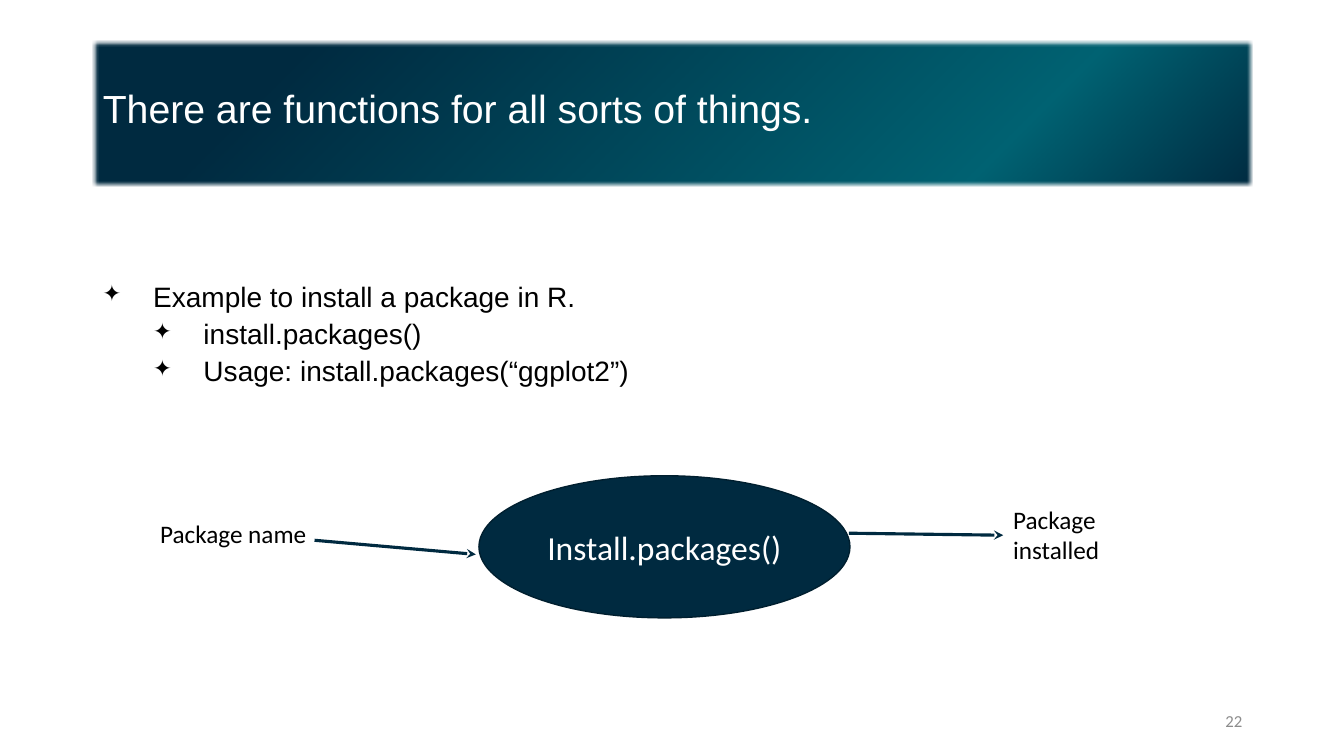
from dataclasses import dataclass

from lxml import etree
from pptx import Presentation, util as u
from pptx.dml.color import RGBColor
from pptx.enum import shapes, text
from pptx.oxml import parse_xml
from pptx.oxml.ns import nsdecls, qn

COLORS = {"navy": "002A40", "teal": "006272", "outline": "001F2F",
          "white": "FFFFFF", "black": "000000", "gray": "8C8C8C"}
GRADIENT = [(0, "navy"), (22, "teal"), (83, "navy"), (100, "navy")]
BULLETS = [(0, "Example to install a package in R."),
           (1, "install.packages()"),
           (1, "Usage: install.packages(“ggplot2”)")]


@dataclass
class Label:
    text: str
    box: tuple[float, float, float, float]
    size: int = 18
    color: str = "black"
    align: text.PP_ALIGN = text.PP_ALIGN.LEFT
    anchor: text.MSO_ANCHOR = text.MSO_ANCHOR.TOP
    wrap: bool = True


@dataclass
class Arrow:
    start: tuple[float, float]
    end: tuple[float, float]


LABELS = [
    Label("Package name", (1.49, 5.09, 1.66, 0.4), wrap=False),
    Label("Package installed", (9.95, 4.95, 1.71, 0.71)),
    Label("22", (9.42, 6.95, 3, 0.4), 12, "gray",
          text.PP_ALIGN.RIGHT, text.MSO_ANCHOR.MIDDLE),
]
ARROWS = [Arrow((3.12, 5.36), (4.72, 5.5)), Arrow((8.42, 5.29), (9.95, 5.31))]


def rgb(name: str) -> RGBColor:
    return RGBColor.from_string(COLORS[name])


def inches(values: tuple) -> list:
    return [u.Inches(v) for v in values]


def write(p, content: str, *, size: int, color: str = "black", font: str = "Calibri",
          align=text.PP_ALIGN.LEFT, spacing: float = 1.0, before: int = 0) -> None:
    p.alignment, p.line_spacing, p.space_before = align, spacing, u.Pt(before)
    r = p.add_run()
    r.text = content
    r.font.name, r.font.size = font, u.Pt(size)
    r.font.color.rgb = rgb(color)


def set_frame(tf, anchor, margins: tuple = (0.1, 0.05, 0.1, 0.05), wrap: bool = True) -> None:
    tf.auto_size = text.MSO_AUTO_SIZE.NONE
    tf.word_wrap, tf.vertical_anchor = wrap, anchor
    tf.margin_left, tf.margin_top, tf.margin_right, tf.margin_bottom = inches(margins)


def add_title(s) -> None:
    sp = s.shapes.title
    sp.left, sp.top, sp.width, sp.height = inches((0.92, 0.4, 11.5, 1.45))
    stops = "".join(f'<a:gs pos="{pos * 1000}"><a:srgbClr val="{COLORS[c]}"/></a:gs>'
                    for pos, c in GRADIENT)
    props = sp.element.spPr
    props.append(parse_xml(
        f'<a:gradFill {nsdecls("a")} rotWithShape="1"><a:gsLst>{stops}</a:gsLst>'
        '<a:path path="circle"><a:fillToRect l="100000" t="100000"/></a:path></a:gradFill>'))
    props.append(parse_xml(
        f'<a:effectLst {nsdecls("a")}><a:softEdge rad="31750"/></a:effectLst>'))
    set_frame(sp.text_frame, text.MSO_ANCHOR.MIDDLE, (0.1, 0, 0.1, 0.05))
    write(sp.text_frame.paragraphs[0], "There are functions for all sorts of things.",
          size=28, color="white", font="Arial", spacing=0.9)


def add_bullets(s) -> None:
    tf = s.shapes.add_textbox(*inches((0.92, 2.61, 11.76, 2.13))).text_frame
    set_frame(tf, text.MSO_ANCHOR.TOP, (0.1, 0.2, 0, 0.05))
    for i, (level, content) in enumerate(BULLETS):
        p = tf.add_paragraph() if i else tf.paragraphs[0]
        p.level = level
        write(p, content, size=20, font="Arial", spacing=0.9, before=5 if i else 0)
        props = p._p.get_or_add_pPr()
        props.set("marL", str(u.Inches(0.5 * (level + 1))))
        props.set("indent", str(u.Inches(-0.5)))
        etree.SubElement(props, qn("a:buSzPct"), val="80000")
        etree.SubElement(props, qn("a:buChar"), char="✦")


def add_function(s) -> None:
    sp = s.shapes.add_shape(shapes.MSO_SHAPE.OVAL, *inches((4.75, 4.72, 3.68, 1.41)))
    sp.shadow.inherit = False
    sp.fill.solid()
    sp.fill.fore_color.rgb = rgb("navy")
    sp.line.color.rgb, sp.line.width = rgb("outline"), u.Pt(1)
    set_frame(sp.text_frame, text.MSO_ANCHOR.MIDDLE)
    write(sp.text_frame.paragraphs[0], "Install.packages()", size=24, color="white",
          align=text.PP_ALIGN.CENTER)


def add_label(s, label: Label) -> None:
    tf = s.shapes.add_textbox(*inches(label.box)).text_frame
    set_frame(tf, label.anchor, wrap=label.wrap)
    write(tf.paragraphs[0], label.text, size=label.size, color=label.color, align=label.align)


def add_arrow(s, arrow: Arrow) -> None:
    line = s.shapes.add_connector(shapes.MSO_CONNECTOR.STRAIGHT,
                                  *inches(arrow.start + arrow.end))
    line.line.color.rgb, line.line.width = rgb("navy"), u.Pt(2.25)
    etree.SubElement(line.line._get_or_add_ln(), qn("a:tailEnd"), type="stealth")
    etree.SubElement(line.element.spPr, qn("a:effectLst"))


def main() -> None:
    prs = Presentation()
    prs.slide_width, prs.slide_height = inches((13.33, 7.5))
    s = prs.slides.add_slide(prs.slide_layouts[5])
    # Heading and bullets
    add_title(s)
    add_bullets(s)
    # Flow from input through the function to the result
    add_function(s)
    for arrow in ARROWS:
        add_arrow(s, arrow)
    # Flow labels and slide number
    for label in LABELS:
        add_label(s, label)
    prs.save("out.pptx")


if __name__ == "__main__":
    main()
